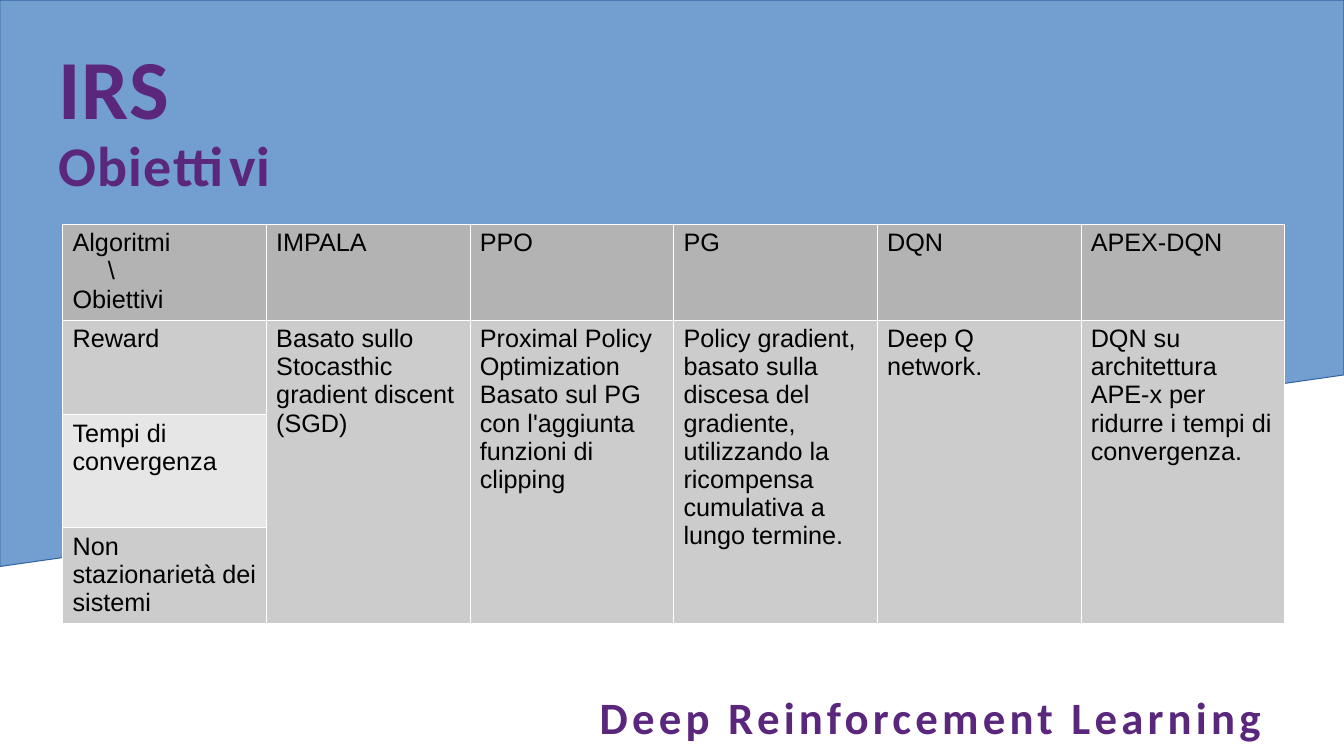
from lxml import etree
from pptx import Presentation
from pptx.dml.color import RGBColor
from pptx.enum.text import MSO_ANCHOR
from pptx.oxml.ns import qn
from pptx.util import Inches, Pt

MIDDLE = MSO_ANCHOR.MIDDLE
TOP = MSO_ANCHOR.TOP
PURPLE = "5B277D"
HEADER_GREY = "B3B3B3"
DARK_GREY = "CCCCCC"
LIGHT_GREY = "E6E6E6"


def color(value):
    return RGBColor.from_string(value)


def add_span(para, text, font, size, ink, bold=False, spacing=0):
    span = para.add_run()
    span.text = text
    span.font.name = font
    span.font.size = Pt(size)
    span.font.bold = bold
    span.font.color.rgb = color(ink)
    if spacing:
        span.font._element.set("spc", str(spacing * 100))


deck = Presentation()
deck.slide_width = Inches(13.33)
deck.slide_height = Inches(7.5)
page = deck.slides.add_slide(deck.slide_layouts[6])

outline = page.shapes.build_freeform(0, Inches(5.62))
outline.add_line_segments(
    [(0, 0), (Inches(13.33), 0), (Inches(13.33), Inches(3.72))], close=True
)
backdrop = outline.convert_to_shape()
backdrop.shadow.inherit = False
backdrop.fill.solid()
backdrop.fill.fore_color.rgb = color("729FCF")
backdrop.line.color.rgb = color("3465A4")
backdrop.line.width = Pt(0)

paragraphs = []
for left, top, width, height, anchor in [
    (0.48, 0.26, 10.24, 1.92, MIDDLE),
    (5.6, 6.85, 7.67, 0.59, TOP),
]:
    box = page.shapes.add_textbox(Inches(left), Inches(top), Inches(width), Inches(height))
    box.text_frame.word_wrap = True
    box.text_frame.vertical_anchor = anchor
    para = box.text_frame.paragraphs[0]
    para.line_spacing = 0.9
    paragraphs.append(para)

title, subject = paragraphs
add_span(title, "IRS", "Calibri", 60, PURPLE, True, 1)
title.add_line_break()
add_span(title, "Obiettivi", "Calibri", 40, PURPLE, True, 1)
subject.space_before = Pt(10)
subject._p.get_or_add_pPr().set("marL", str(Inches(0.25)))
add_span(subject, "Deep Reinforcement Learning", "Calibri", 32, PURPLE, True, 3)

rows = [
    ["Algoritmi\n\\\nObiettivi", "IMPALA", "PPO", "PG", "DQN", "APEX-DQN"],
    [
        "Reward",
        "Basato sullo Stocasthic gradient discent (SGD)",
        "Proximal Policy Optimization Basato sul PG con l'aggiunta funzioni di clipping",
        "Policy gradient, basato sulla discesa del gradiente, utilizzando la ricompensa "
        "cumulativa a lungo termine.",
        "Deep Q network.",
        "DQN su architettura APE-x per ridurre i tempi di convergenza.",
    ],
    ["Tempi di convergenza"],
    ["Non stazionarietà dei sistemi"],
]
row_heights = [0.94, 0.94, 1.12, 0.94]
row_fills = [HEADER_GREY, DARK_GREY, LIGHT_GREY, DARK_GREY]
frame = page.shapes.add_table(4, 6, Inches(0.62), Inches(2.22), Inches(12.12), Inches(3.94))
table = frame.table
for column in table.columns:
    column.width = Inches(2.02)
for row, height in zip(table.rows, row_heights):
    row.height = Inches(height)

for row_index, texts in enumerate(rows):
    for column_index in range(6):
        cell = table.cell(row_index, column_index)
        cell.margin_left = Inches(0.1)
        cell.margin_right = Inches(0.08)
        cell.margin_top = Inches(0.05)
        cell.margin_bottom = 0
        properties = cell._tc.get_or_add_tcPr()
        for side in ("a:lnL", "a:lnR", "a:lnT", "a:lnB"):
            border = etree.SubElement(properties, qn(side), w=str(Pt(0.06)))
            fill = etree.SubElement(border, qn("a:solidFill"))
            etree.SubElement(fill, qn("a:srgbClr"), val="FFFFFF")
        merged = row_index > 0 and column_index > 0
        cell.fill.solid()
        cell.fill.fore_color.rgb = color(DARK_GREY if merged else row_fills[row_index])
        if column_index >= len(texts):
            continue
        for line_index, line in enumerate(texts[column_index].split("\n")):
            lines = cell.text_frame
            para = lines.add_paragraph() if line_index else lines.paragraphs[0]
            if line == "\\":
                para._p.get_or_add_pPr().set("marL", str(Inches(0.35)))
            add_span(para, line, "Arial", 18, "000000")

for column_index in range(1, 6):
    table.cell(1, column_index).merge(table.cell(3, column_index))

deck.save("out.pptx")
